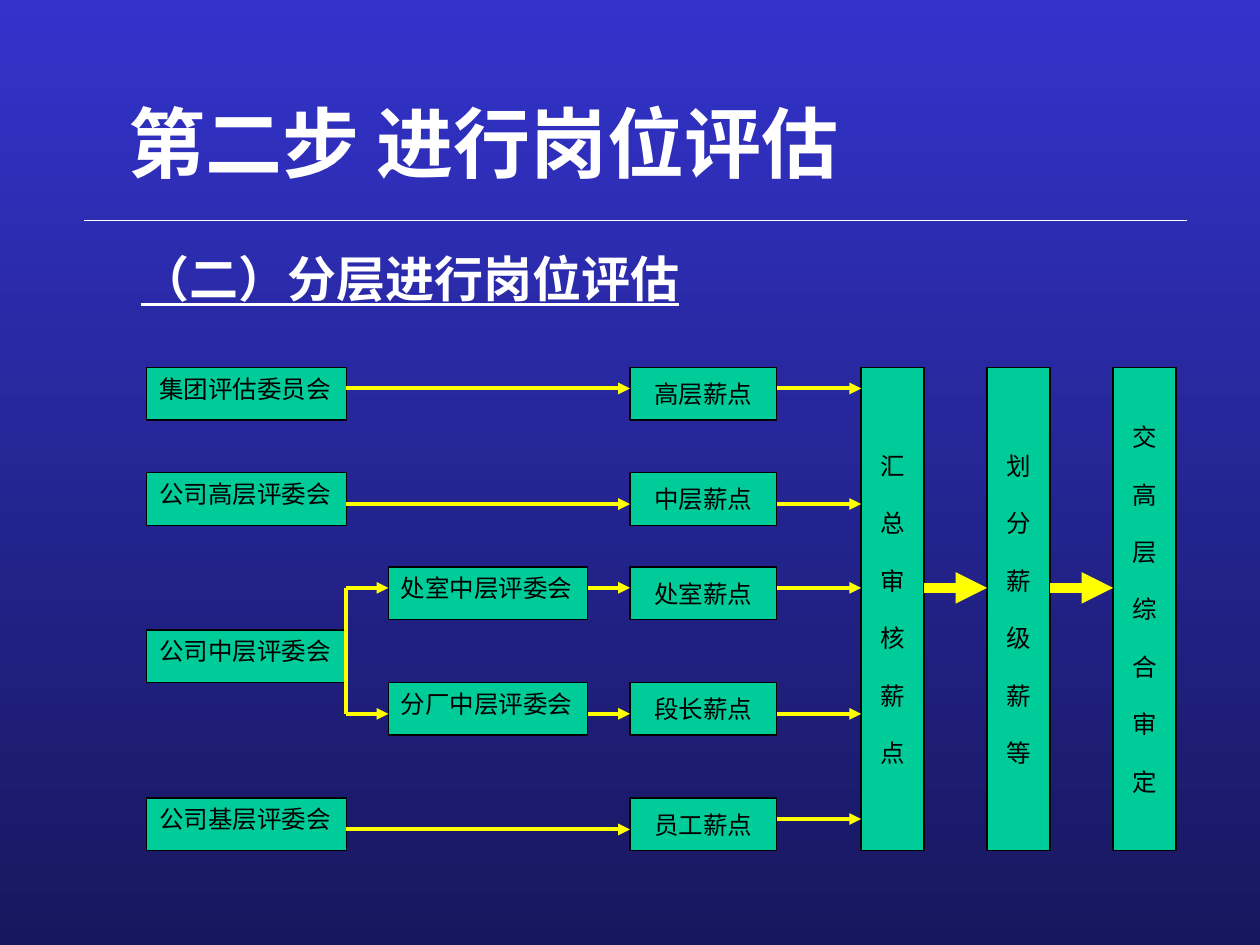
from lxml import etree
from pptx import Presentation
from pptx.dml.color import RGBColor
from pptx.enum.shapes import MSO_CONNECTOR, MSO_SHAPE
from pptx.enum.text import MSO_ANCHOR, PP_ALIGN
from pptx.oxml.ns import qn
from pptx.util import Cm, Pt

RECTANGLE = MSO_SHAPE.RECTANGLE
STRAIGHT = MSO_CONNECTOR.STRAIGHT
TOP, MIDDLE = MSO_ANCHOR.TOP, MSO_ANCHOR.MIDDLE
LEFT, CENTER, JUSTIFY = PP_ALIGN.LEFT, PP_ALIGN.CENTER, PP_ALIGN.JUSTIFY
FONT = "Times New Roman"
WHITE, BLACK, GREEN, YELLOW = "FFFFFF", "000000", "00CC99", "FFFF00"
color = RGBColor.from_string


def write_text(shape, text, size=14, font_color=BLACK, bold=False, underline=False,
               align=LEFT, anchor=TOP, wrap=True, gap=0):
    """Write one paragraph per line of text, with gap points between paragraphs."""
    frame = shape.text_frame
    frame.word_wrap = wrap
    frame.vertical_anchor = anchor
    for index, line in enumerate(text.split("\n")):
        paragraph = frame.add_paragraph() if index else frame.paragraphs[0]
        paragraph.text = line
        paragraph.alignment = align
        if index:
            paragraph.space_before = Pt(gap)
        font = paragraph.font
        font.name, font.size = FONT, Pt(size)
        font.bold, font.underline = bold, underline
        font.color.rgb = color(font_color)


def add_line(x1, y1, x2, y2, line_color=YELLOW, width=2.25, arrow=True):
    connector = slide.shapes.add_connector(STRAIGHT, Cm(x1), Cm(y1), Cm(x2), Cm(y2))
    connector.line.color.rgb = color(line_color)
    connector.line.width = Pt(width)
    if arrow:
        etree.SubElement(connector.line._get_or_add_ln(), qn("a:tailEnd"), type="triangle")
    etree.SubElement(connector._element.spPr, qn("a:effectLst"))


presentation = Presentation()
presentation.slide_width, presentation.slide_height = Cm(25.4), Cm(19.05)
slide = presentation.slides.add_slide(presentation.slide_layouts[6])

background = slide.background.fill
background.gradient()
background.gradient_angle = 270
for stop, stop_color in zip(background.gradient_stops, ("3333CC", "17175E")):
    stop.color.rgb = color(stop_color)

# Headings
title = slide.shapes.add_textbox(Cm(2.34), Cm(1.27), Cm(19.48), Cm(3.18))
write_text(title, "第二步 进行岗位评估", size=44, font_color=WHITE, bold=True, anchor=MIDDLE)
add_line(1.7, 4.45, 23.93, 4.45, line_color=WHITE, width=0.75, arrow=False)
subtitle = slide.shapes.add_textbox(Cm(2.59), Cm(4.88), Cm(11.35), Cm(1.45))
write_text(subtitle, "（二）分层进行岗位评估", size=28, font_color=WHITE, bold=True,
           underline=True, wrap=False)

# Boxes: committees, salary points, then the tall review steps
COMMITTEE_X, SUBCOMMITTEE_X, POINTS_X = 2.96, 7.83, 12.7
REVIEW_X = (17.36, 19.9, 22.44)
COMMITTEE_WIDTH, POINTS_WIDTH, REVIEW_WIDTH = 4.02, 2.96, 1.27
ROW_TOP, ROW_HEIGHT, REVIEW_HEIGHT = 7.41, 1.06, 9.74

committees = [
    (COMMITTEE_X, ROW_TOP, "集团评估委员会"),
    (COMMITTEE_X, 9.53, "公司高层评委会"),
    (COMMITTEE_X, 12.7, "公司中层评委会"),
    (COMMITTEE_X, 16.09, "公司基层评委会"),
    (SUBCOMMITTEE_X, 11.43, "处室中层评委会"),
    (SUBCOMMITTEE_X, 13.76, "分厂中层评委会"),
]
points = [(ROW_TOP, "高层薪点"), (9.53, "中层薪点"), (11.43, "处室薪点"),
          (13.76, "段长薪点"), (16.09, "员工薪点")]
reviews = ["汇总审核薪点", "划分薪级薪等", "交高层综合审定"]

committee_format = {"align": JUSTIFY}
centered_format = {"align": CENTER, "anchor": MIDDLE, "wrap": False, "gap": 16}
boxes = [(x, y, COMMITTEE_WIDTH, ROW_HEIGHT, text, committee_format)
         for x, y, text in committees]
boxes += [(POINTS_X, y, POINTS_WIDTH, ROW_HEIGHT, text, centered_format)
          for y, text in points]
boxes += [(x, ROW_TOP, REVIEW_WIDTH, REVIEW_HEIGHT, "\n".join(text), centered_format)
          for x, text in zip(REVIEW_X, reviews)]

for x, y, width, height, text, text_format in boxes:
    box = slide.shapes.add_shape(RECTANGLE, Cm(x), Cm(y), Cm(width), Cm(height))
    box.shadow.inherit = False
    box.fill.solid()
    box.fill.fore_color.rgb = color(GREEN)
    box.line.color.rgb = color(BLACK)
    box.line.width = Pt(0.75)
    write_text(box, text, **text_format)

# Arrows
COMMITTEE_RIGHT = COMMITTEE_X + COMMITTEE_WIDTH
SUBCOMMITTEE_RIGHT = SUBCOMMITTEE_X + COMMITTEE_WIDTH
POINTS_RIGHT = POINTS_X + POINTS_WIDTH
BRANCH_ROWS = (11.85, 14.39)

for y in (7.83, 10.16, 16.72):
    add_line(COMMITTEE_RIGHT, y, POINTS_X, y)
for y in BRANCH_ROWS:
    add_line(COMMITTEE_RIGHT, y, SUBCOMMITTEE_X, y)
    add_line(SUBCOMMITTEE_RIGHT, y, POINTS_X, y)
add_line(COMMITTEE_RIGHT, BRANCH_ROWS[0], COMMITTEE_RIGHT, BRANCH_ROWS[1], arrow=False)
for y in (7.83, 10.16, *BRANCH_ROWS, 16.51):
    add_line(POINTS_RIGHT, y, REVIEW_X[0], y)
for start, end in zip(REVIEW_X, REVIEW_X[1:]):
    add_line(start + REVIEW_WIDTH, BRANCH_ROWS[0], end, BRANCH_ROWS[0], width=6)

presentation.save("out.pptx")
